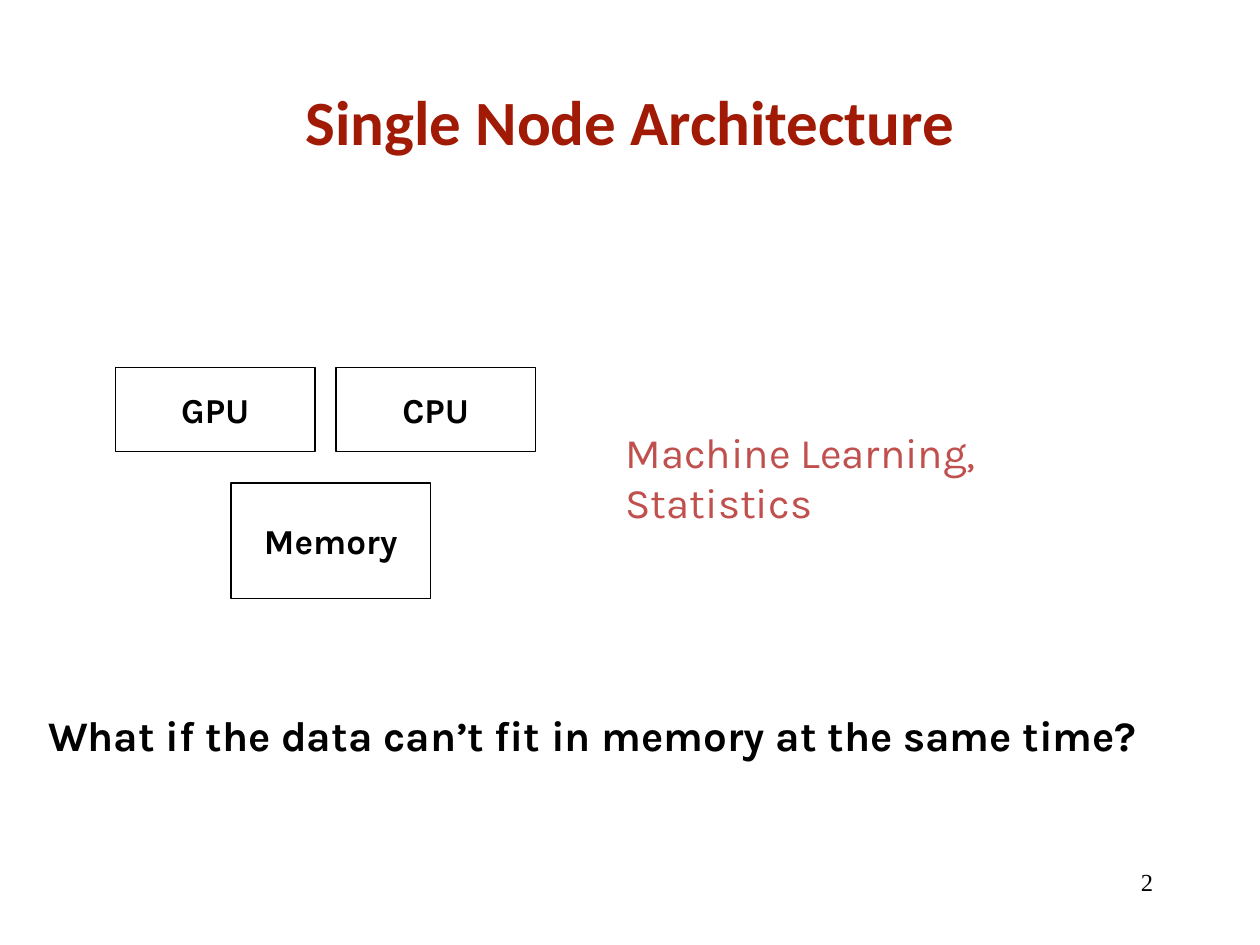
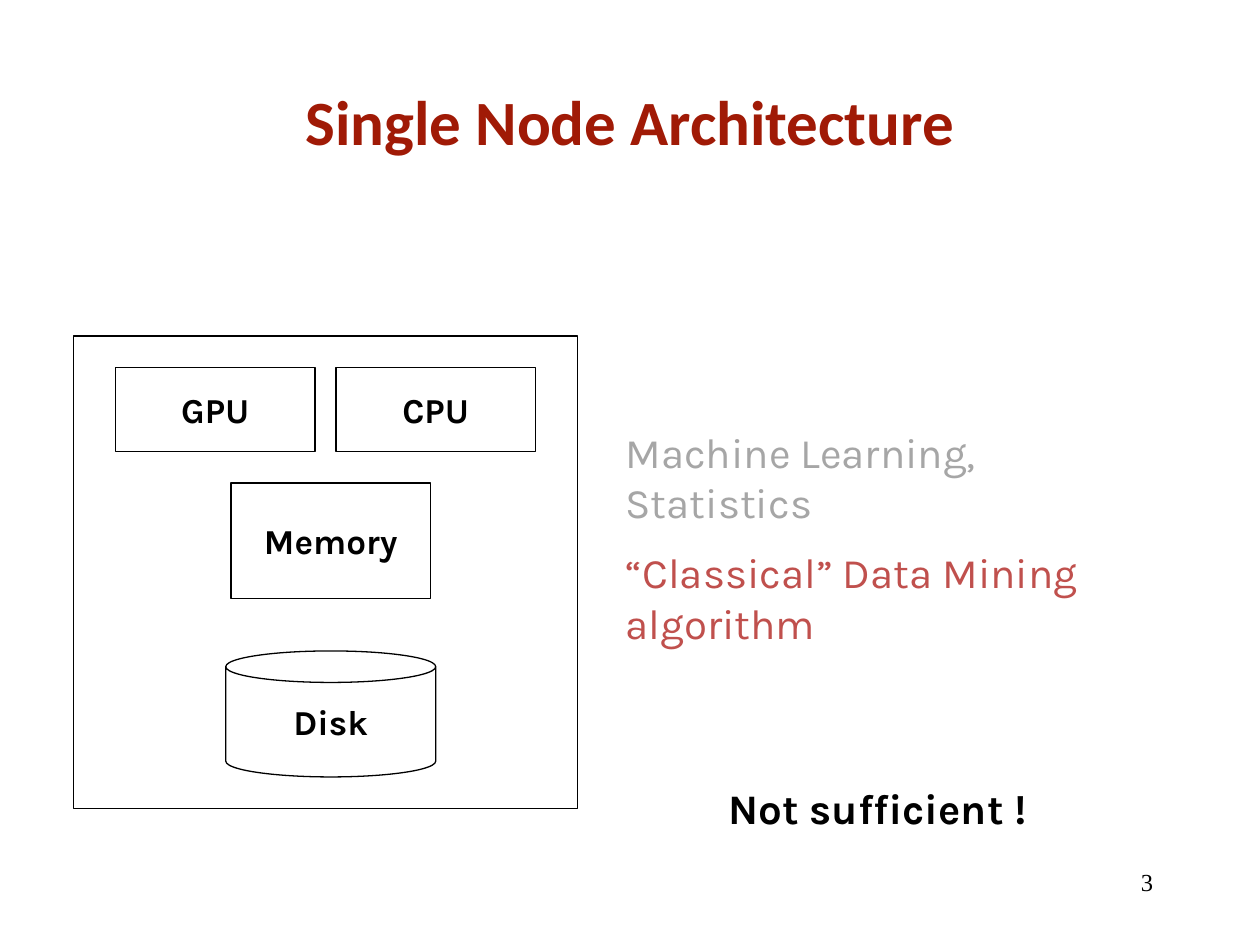
from pptx import Presentation
from pptx.dml.color import RGBColor
from pptx.enum.shapes import MSO_SHAPE
from pptx.enum.text import MSO_ANCHOR, MSO_AUTO_SIZE, PP_ALIGN
from pptx.util import Inches, Pt

RECTANGLE, CAN = MSO_SHAPE.RECTANGLE, MSO_SHAPE.CAN
LEFT, CENTER, RIGHT = PP_ALIGN.LEFT, PP_ALIGN.CENTER, PP_ALIGN.RIGHT
TOP, MIDDLE = MSO_ANCHOR.TOP, MSO_ANCHOR.MIDDLE
FIT_SHAPE = MSO_AUTO_SIZE.SHAPE_TO_FIT_TEXT

COLORS = {
    "title": "A01A06",
    "ink": "000000",
    "accent": "C0504D",
    "muted": "A6A6A6",
}
TITLE_FONT, BODY_FONT, NUMBER_FONT = "Calibri", "Karla", "Times New Roman"

CELLS_PER_INCH = 12
PART_WIDTH = 19
PROCESSOR_TOP, PROCESSOR_HEIGHT = 35, 8
PROCESSOR_LEFT, PROCESSOR_STEP = 11, 21
CAPTION_LEFT = 58.4
LINE_HEIGHT = 6


def cells(*counts):
    return [Inches(count / CELLS_PER_INCH) for count in counts]


def color(name):
    return RGBColor.from_string(COLORS[name])


def write(frame, text, size, font=BODY_FONT, ink="ink", bold=False, align=LEFT):
    para = frame.paragraphs[0]
    para.alignment = align
    span = para.add_run()
    span.text = text
    span.font.name = font
    span.font.size = Pt(size)
    span.font.bold = bold
    span.font.color.rgb = color(ink)


def add_text(page, area, text, size, anchor=TOP, **style):
    box = page.shapes.add_textbox(*cells(*area))
    frame = box.text_frame
    frame.word_wrap = True
    frame.vertical_anchor = anchor
    write(frame, text, size, **style)
    return box


def add_caption(page, left, top, width, text, **style):
    box = add_text(page, (left, top, width, LINE_HEIGHT), text, 24, **style)
    box.text_frame.auto_size = FIT_SHAPE


def add_part(group, area, label="", kind=RECTANGLE):
    part = group.shapes.add_shape(kind, *cells(*area))
    part.shadow.inherit = False
    part.fill.background()
    part.line.color.rgb = color("ink")
    part.line.width = Pt(0.75)
    if label:
        frame = part.text_frame
        frame.word_wrap = False
        frame.vertical_anchor = MIDDLE
        write(frame, label, 20, bold=True, align=CENTER)


def add_processors_and_memory(group):
    for column, label in enumerate(("GPU", "CPU")):
        left = PROCESSOR_LEFT + column * PROCESSOR_STEP
        add_part(group, (left, PROCESSOR_TOP, PART_WIDTH, PROCESSOR_HEIGHT), label)
    add_part(group, (22, 46, PART_WIDTH, 11), "Memory")


def add_machine_with_disk(page):
    machine = page.shapes.add_group_shape()
    add_part(machine, (7, 32, 48, 45))
    add_processors_and_memory(machine)
    add_part(machine, (21.5, 62, 20, 12), "Disk", CAN)


def add_page(deck, number, learning_ink):
    page = deck.slides.add_slide(deck.slide_layouts[6])
    add_text(page, (9, 4, 102, 15), "Single Node Architecture", 36, MIDDLE,
             font=TITLE_FONT, ink="title", bold=True, align=CENTER)
    add_caption(page, CAPTION_LEFT, 40, 53, "Machine Learning, Statistics",
                ink=learning_ink)
    add_text(page, (86, 82, 25, LINE_HEIGHT), str(number), 14,
             font=NUMBER_FONT, align=RIGHT)
    return page


def main():
    deck = Presentation()
    deck.slide_width, deck.slide_height = Inches(10), Inches(7.5)

    memory_page = add_page(deck, 2, "accent")
    add_processors_and_memory(memory_page)
    add_caption(memory_page, 3.4, 67, 113.3,
                "What if the data can’t fit in memory at the same time?", bold=True)

    disk_page = add_page(deck, 3, "muted")
    add_machine_with_disk(disk_page)
    add_caption(disk_page, CAPTION_LEFT, 51.5, 61.6,
                "“Classical” Data Mining algorithm", ink="accent")
    add_caption(disk_page, 68.2, 73.9, 33.6, "Not sufficient !", bold=True)

    deck.save("out.pptx")


if __name__ == "__main__":
    main()
